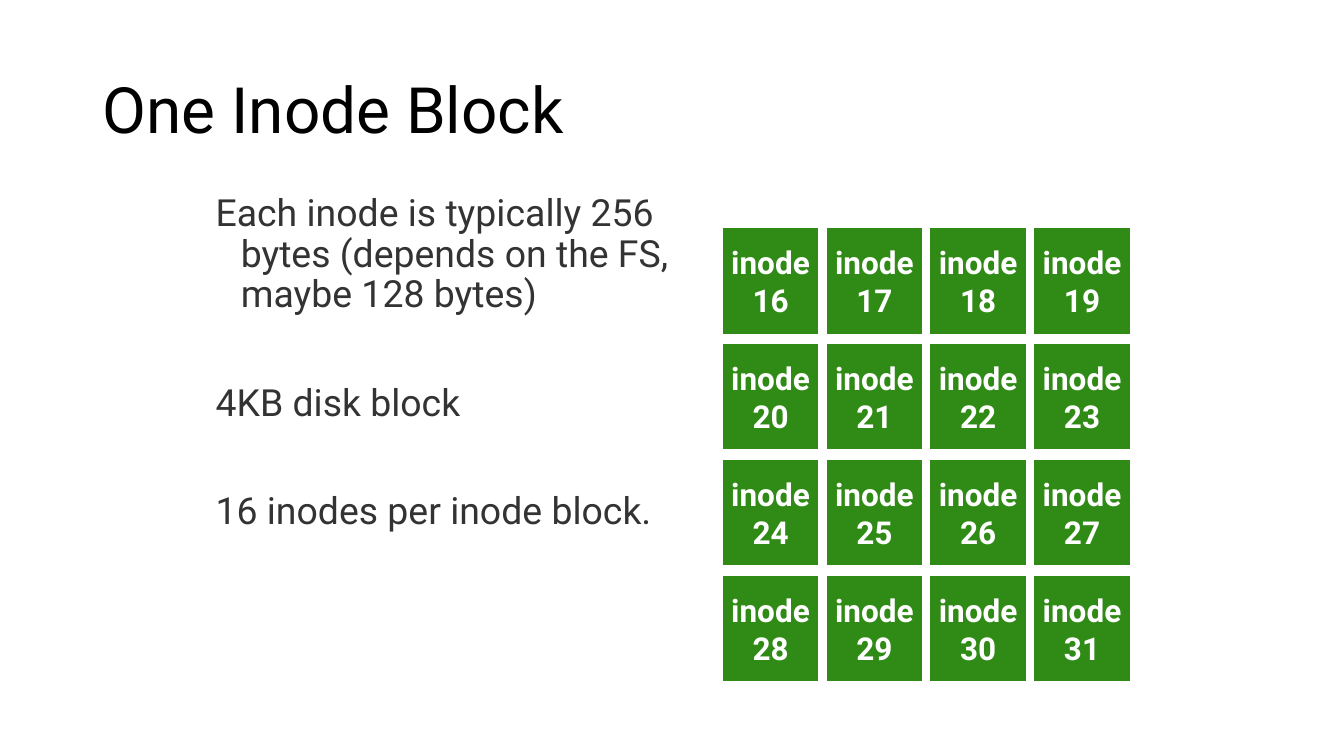
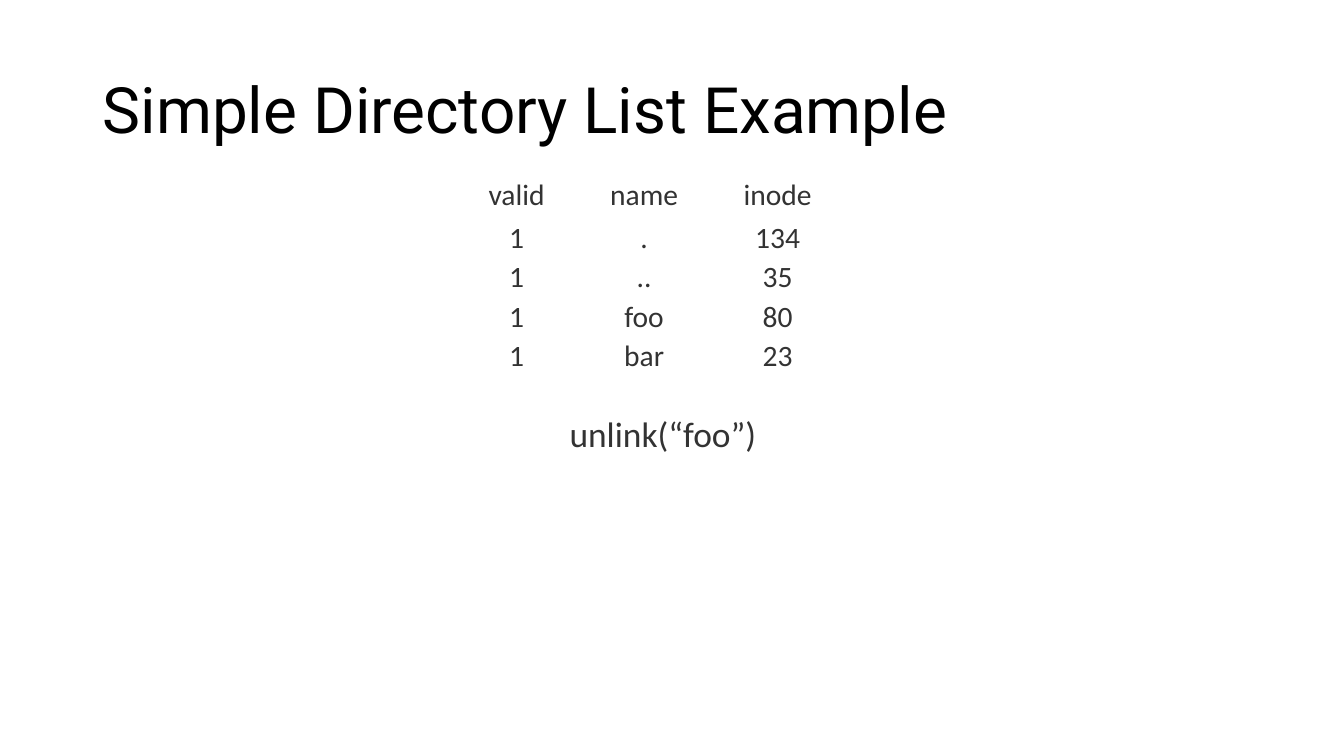
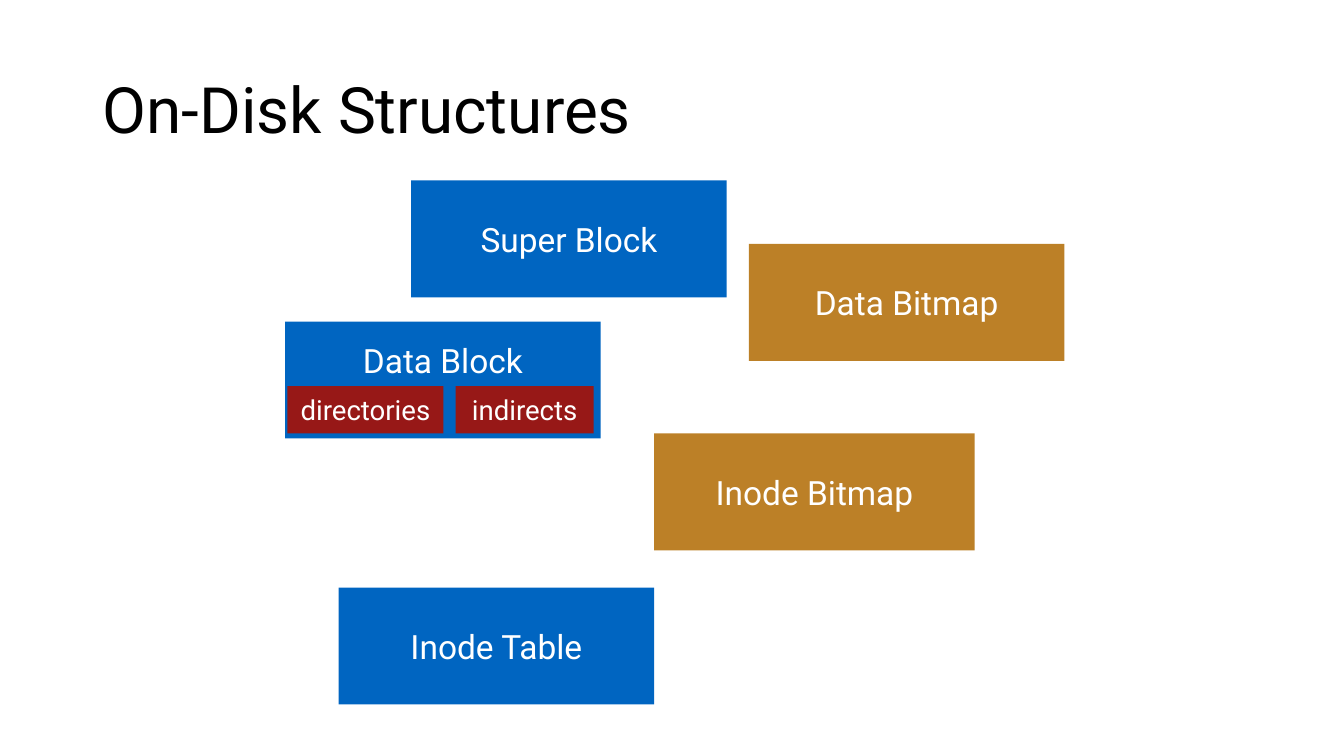
from pptx import Presentation
from pptx.dml.color import RGBColor
from pptx.enum.shapes import MSO_CONNECTOR, MSO_SHAPE
from pptx.enum.text import MSO_ANCHOR, MSO_AUTO_SIZE, PP_ALIGN
from pptx.oxml.ns import qn
from pptx.util import Inches, Pt
from lxml import etree

RECTANGLE = MSO_SHAPE.RECTANGLE
STRAIGHT = MSO_CONNECTOR.STRAIGHT
MIDDLE = MSO_ANCHOR.MIDDLE
LEFT, CENTER = PP_ALIGN.LEFT, PP_ALIGN.CENTER
NO_FIT = MSO_AUTO_SIZE.NONE

# Shared look
SLIDE_SIZE = (40 / 3, 7.5)
TITLE_ONLY = 5
HEADING_FONT, TABLE_FONT = "Roboto", "Calibri"
BLACK, WHITE, GRAY = "000000", "FFFFFF", "333333"
GREEN, BLUE, OCHRE, RED = "308B16", "0065C1", "BC8027", "971817"

# Inode grid
GRID_COLUMNS, FIRST_INODE, INODE_COUNT = 4, 16, 16
GRID_LEFT, GRID_TOP = 7.15, 2.24
CELL_WIDTH, CELL_HEIGHT = 0.99, 1.09
COLUMN_PITCH, ROW_PITCH = 1.03, 1.15

# Directory table and its rules
TABLE_LEFT, TABLE_TOP = 4.5, 1.7
COLUMN_WIDTHS = (1.25, 1.28, 1.37)
HEADER_HEIGHT, ROW_HEIGHT = 0.47, 0.39
RULE_TOP, RULE_COLUMNS = 2.16, (4.57, 5.74, 7.01, 8.38)
DIRECTORY = (
    ("valid", "name", "inode"),
    ("1", ".", "134"),
    ("1", "..", "35"),
    ("1", "foo", "80"),
    ("1", "bar", "23"),
)

# Disk structures: label, left, top, width, fill
BLOCK_HEIGHT, PART_HEIGHT = 1.16, 0.47
BLOCKS = (
    ("Super Block", 4.08, 1.79, 3.13, BLUE),
    ("Data Block", 2.83, 3.19, 3.13, BLUE),
    ("Inode Table", 3.36, 5.83, 3.13, BLUE),
    ("Data Bitmap", 7.43, 2.42, 3.13, OCHRE),
    ("Inode Bitmap", 6.49, 4.3, 3.18, OCHRE),
)
PARTS = (("directories", 2.85, 1.55), ("indirects", 4.52, 1.37))


def color(value):
    return RGBColor.from_string(value)


def style_text(frame, size, fill, font=HEADING_FONT, align=LEFT, bold=False):
    for para in frame.paragraphs:
        para.alignment = align
        for span in para.runs:
            span.font.name = font
            span.font.size = Pt(size)
            span.font.bold = bold
            span.font.color.rgb = color(fill)


def set_margins(target, size):
    target.margin_left = target.margin_right = Inches(size)
    target.margin_top = target.margin_bottom = Inches(size)


def add_page(deck, title):
    page = deck.slides.add_slide(deck.slide_layouts[TITLE_ONLY])
    box = page.shapes.title
    box.left, box.top = Inches(0.92), Inches(0.39)
    box.width, box.height = Inches(11.5), Inches(1.45)
    frame = box.text_frame
    frame.text = title
    frame.auto_size = NO_FIT
    frame.vertical_anchor = MIDDLE
    frame.paragraphs[0].line_spacing = 0.9
    style_text(frame, 45.6, BLACK)
    return page


def add_text_box(page, left, top, width, height, text):
    box = page.shapes.add_textbox(
        Inches(left), Inches(top), Inches(width), Inches(height))
    box.text_frame.text = text
    box.text_frame.word_wrap = True
    return box.text_frame


def add_block(page, left, top, width, height, text, size, fill, bold=False):
    block = page.shapes.add_shape(
        RECTANGLE, Inches(left), Inches(top), Inches(width), Inches(height))
    block.shadow.inherit = False
    block.fill.solid()
    block.fill.fore_color.rgb = color(fill)
    block.line.fill.background()
    frame = block.text_frame
    frame.text = text
    frame.vertical_anchor = MIDDLE
    set_margins(frame, 0)
    style_text(frame, size, WHITE, align=CENTER, bold=bold)
    return block


def add_rule(page, left, top, right, bottom):
    rule = page.shapes.add_connector(
        STRAIGHT, Inches(left), Inches(top), Inches(right), Inches(bottom))
    rule.line.color.rgb = color(WHITE)
    rule.line.width = Pt(2)
    etree.SubElement(rule._element.spPr, qn("a:effectLst"))


def add_table(page, left, top, rows):
    height = HEADER_HEIGHT + ROW_HEIGHT * (len(rows) - 1)
    table = page.shapes.add_table(
        len(rows), len(COLUMN_WIDTHS), Inches(left), Inches(top),
        Inches(sum(COLUMN_WIDTHS)), Inches(height)).table
    table.first_row = table.horz_banding = False
    for column, width in zip(table.columns, COLUMN_WIDTHS):
        column.width = Inches(width)
    for index, values in enumerate(rows):
        table.rows[index].height = Inches(ROW_HEIGHT if index else HEADER_HEIGHT)
        for cell, value in zip(table.rows[index].cells, values):
            cell.fill.solid()
            cell.fill.fore_color.rgb = color(WHITE)
            cell.text = value
            cell.vertical_anchor = MIDDLE
            set_margins(cell, 0)
            style_text(cell.text_frame, 21.1, GRAY, TABLE_FONT, CENTER)


def build_inode_block(deck):
    page = add_page(deck, "One Inode Block")
    for index in range(INODE_COUNT):
        row, column = divmod(index, GRID_COLUMNS)
        block = add_block(
            page, GRID_LEFT + column * COLUMN_PITCH, GRID_TOP + row * ROW_PITCH,
            CELL_WIDTH, CELL_HEIGHT, f"inode\n{FIRST_INODE + index}",
            22.5, GREEN, bold=True)
        block.line.color.rgb = color(WHITE)
        block.line.width = Pt(3)

    # Facts with a hanging indent
    frame = add_text_box(
        page, 2.04, 1.88, 4.88, 4.69,
        "Each inode is typically 256 bytes (depends on the FS, maybe 128 bytes)\n"
        "4KB disk block\n16 inodes per inode block.")
    for index, para in enumerate(frame.paragraphs):
        properties = para._p.get_or_add_pPr()
        properties.set("marL", str(Inches(0.25)))
        properties.set("indent", str(Inches(-0.25)))
        para.line_spacing = 0.9
        para.space_before = Pt(48.7 if index else 0)
    style_text(frame, 26.7, GRAY)


def build_directory(deck):
    page = add_page(deck, "Simple Directory List Example")
    add_table(page, TABLE_LEFT, TABLE_TOP, DIRECTORY)

    # Rules around the entries
    entry_count = len(DIRECTORY) - 1
    for row in range(entry_count + 1):
        level = RULE_TOP + row * ROW_HEIGHT
        add_rule(page, RULE_COLUMNS[0], level, RULE_COLUMNS[-1], level)
    for column in RULE_COLUMNS:
        add_rule(page, column, RULE_TOP,
                 column, RULE_TOP + entry_count * ROW_HEIGHT)

    # Call under the table
    frame = add_text_box(page, 5.61, 4.05, 1.95, 0.5, "unlink(“foo”)")
    frame.word_wrap = False
    frame.vertical_anchor = MIDDLE
    set_margins(frame, 0.04)
    style_text(frame, 25.3, GRAY, TABLE_FONT)


def build_structures(deck):
    page = add_page(deck, "On-Disk Structures")
    for label, left, top, width, fill in BLOCKS:
        block = add_block(
            page, left, top, width, BLOCK_HEIGHT, label, 23.9, fill)
        if label == "Data Block":
            # Lift the label above the parts inside the block
            block.text_frame.margin_bottom = Inches(0.39)
    for label, left, width in PARTS:
        add_block(page, left, 3.83, width, PART_HEIGHT, label, 19.7, RED)


def main():
    deck = Presentation()
    deck.slide_width, deck.slide_height = map(Inches, SLIDE_SIZE)
    build_inode_block(deck)
    build_directory(deck)
    build_structures(deck)
    deck.save("out.pptx")


if __name__ == "__main__":
    main()
